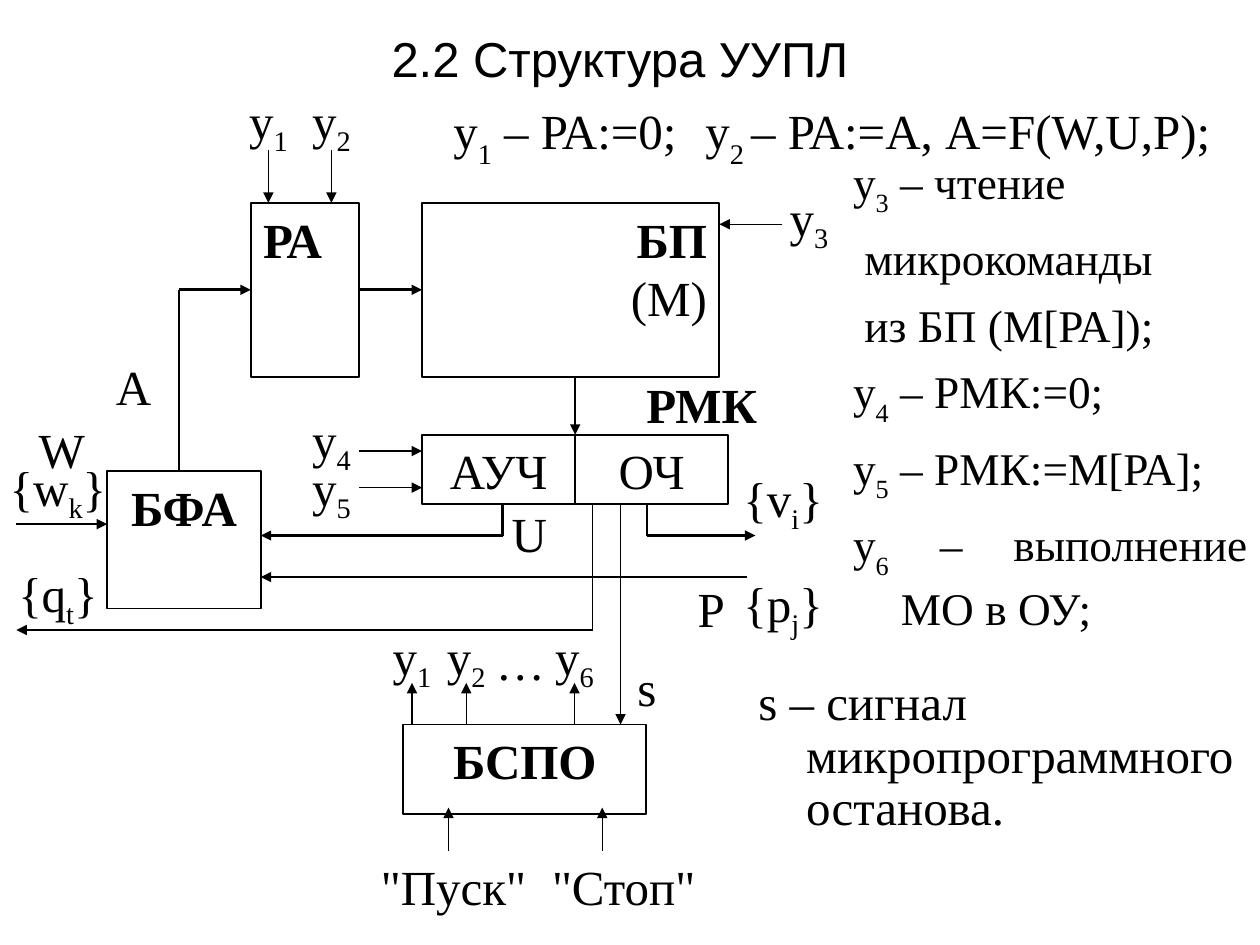
from collections import namedtuple

from lxml import etree
from pptx import Presentation
from pptx.dml.color import RGBColor
from pptx.enum.shapes import MSO_CONNECTOR as Link, MSO_SHAPE as Preset
from pptx.enum.text import MSO_ANCHOR as Anchor, MSO_AUTO_SIZE as AutoSize, PP_ALIGN as Align
from pptx.oxml.ns import qn
from pptx.util import Inches, Pt

COLORS = {"ink": "000000", "paper": "FFFFFF"}
SERIF = "Times New Roman"
THIN, FRAME, BUS = 0.75, 1, 1.5
TOP, LEFT, RIGHT = 0, 1, 3

Box = namedtuple("Box", "left top width height")


def color(name):
    return RGBColor.from_string(COLORS[name])


def right(box):
    return box.left + box.width


def bottom(box):
    return box.top + box.height


def add_text(frame, text, size=28, font=SERIF, bold=False, align=Align.CENTER,
             margin=0, indent=0, before=0, spacing=None, tab=None, drop=-25):
    """Add a paragraph; parts of the text between tildes become subscripts."""
    para = frame.add_paragraph() if frame.text else frame.paragraphs[0]
    props = para._p.get_or_add_pPr()
    props.set("marL", str(Inches(margin)))
    props.set("indent", str(Inches(indent)))
    para.alignment = align
    para.space_before = Pt(before)
    if spacing:
        para.line_spacing = spacing
    etree.SubElement(props, qn("a:buNone"))
    if tab:
        stops = etree.SubElement(props, qn("a:tabLst"))
        etree.SubElement(stops, qn("a:tab"), pos=str(Inches(tab)), algn="l")
    for number, part in enumerate(text.split("~")):
        if not part:
            continue
        span = para.add_run()
        span.text = part
        span.font.size = Pt(size)
        span.font.name = font
        span.font.bold = bold
        span.font.color.rgb = color("ink")
        if number % 2:
            span.font._element.set("baseline", str(drop * 1000))


def set_frame(shape, anchor=Anchor.TOP):
    frame = shape.text_frame
    frame.word_wrap = True
    frame.auto_size = AutoSize.NONE
    frame.vertical_anchor = anchor
    return frame


def add_box_text(page, box, text, **style):
    shape = page.shapes.add_textbox(*map(Inches, box))
    add_text(set_frame(shape), text, **style)


def add_label(page, text, center, top, width=0.72, **style):
    add_box_text(page, Box(center - width / 2, top, width, 0.5), text, **style)


def add_block(page, box, text, **style):
    shape = page.shapes.add_shape(Preset.RECTANGLE, *map(Inches, box))
    shape.shadow.inherit = False
    shape.fill.background()
    shape.line.color.rgb = color("ink")
    shape.line.width = Pt(FRAME)
    add_text(set_frame(shape), text, **style)
    return shape


def add_line(page, start, end, width=THIN, head=True, source=None, target=None):
    """Draw a line; source and target are (shape, side) pairs to join."""
    line = page.shapes.add_connector(Link.STRAIGHT, *map(Inches, (*start, *end)))
    line.line.color.rgb = color("ink")
    line.line.width = Pt(width)
    if head:
        etree.SubElement(line.line._get_or_add_ln(), qn("a:tailEnd"), type="triangle")
    etree.SubElement(line._element.spPr, qn("a:effectLst"))
    if source:
        line.begin_connect(*source)
    if target:
        line.end_connect(*target)


def add_bend(page, start, corner, end, width=BUS, target=None):
    add_line(page, start, corner, width, head=False)
    add_line(page, corner, end, width, target=target)


def draw_title(page, box):
    title = page.shapes.title
    title.left, title.top, title.width, title.height = map(Inches, box)
    add_text(set_frame(title, Anchor.MIDDLE), "2.2 Структура УУПЛ", font="Arial")


def draw_signal_list(page, box):
    body = page.placeholders[1]
    body.left, body.top, body.width, body.height = map(Inches, box)
    frame = set_frame(body)
    signals = [("y~3~ – чтение", -0.38), ("микрокоманды", -0.29),
               ("из БП (M[РА]);", -0.29), ("y~4~ – РМК:=0;", -0.38),
               ("y~5~ – РМК:=М[РА];", -0.38), ("y~6~ – выполнение МО в ОУ;", -0.38)]
    for number, (text, indent) in enumerate(signals):
        add_text(frame, text, size=25.9, align=Align.JUSTIFY, margin=0.38,
                 indent=indent, before=7 if number else 0, drop=-30)


def draw_memory(page, box):
    """Address register and program block; returns the register."""
    register = add_block(page, box._replace(width=0.86), "РА", bold=True, align=Align.LEFT)
    store = add_block(page, Box(box.left + 1.36, box.top, box.width - 1.36, box.height),
                      "БП", bold=True, align=Align.RIGHT)
    add_text(store.text_frame, "(M)", align=Align.RIGHT)
    middle = box.top + box.height / 2
    add_line(page, (box.left + 0.86, middle), (box.left + 1.36, middle), BUS,
             source=(register, RIGHT), target=(store, LEFT))
    for name, offset in (("y~1~", 0.14), ("y~2~", 0.64)):
        x = box.left + offset
        add_line(page, (x, box.top - 0.42), (x, box.top))
        add_label(page, name, x, box.top - 0.94)
    add_line(page, (right(box) + 0.5, box.top + 0.17), (right(box), box.top + 0.17))
    add_label(page, "y~3~", right(box) + 0.71, box.top - 0.17)
    return register


def draw_command_register(page, box):
    half = box.width / 2
    for number, name in enumerate(("АУЧ", "ОЧ")):
        add_block(page, Box(box.left + number * half, box.top, half, box.height), name)
    add_label(page, "РМК", box.left + 2.22, box.top - 0.53, width=1.14, bold=True)
    for name, line_y, label_y in (("y~4~", 0.13, -0.25), ("y~5~", 0.42, 0.13)):
        y = box.top + line_y
        add_line(page, (box.left - 0.5, y), (box.left, y))
        add_label(page, name, box.left - 0.72, box.top + label_y)


def draw_address_block(page, box):
    add_block(page, box, "БФА", bold=True)
    add_line(page, (box.left - 0.72, box.top + 0.42), (box.left, box.top + 0.42))
    add_label(page, "{w~k~}", box.left - 0.39, box.top - 0.16, width=1.07)
    add_label(page, "{q~t~}", box.left - 0.39, box.top + 0.68, width=1.07)
    add_label(page, "W", box.left - 0.36, box.top - 0.46)


def draw_start_block(page, box):
    add_block(page, box, "БСПО", bold=True)
    for name, offset in (("y~1~", 0.07), ("y~2~", 0.5), ("y~6~", 1.36)):
        x = box.left + offset
        add_line(page, (x, box.top), (x, box.top - 0.33))
        add_label(page, name, x, box.top - 0.83)
    add_label(page, "…", box.left + 0.93, box.top - 0.79)
    for name, line_x, label_x in (('"Пуск"', 0.36, 0.4), ('"Стоп"', 1.58, 1.75)):
        x = box.left + line_x
        add_line(page, (x, bottom(box) + 0.29), (x, bottom(box) - 0.05))
        add_label(page, name, box.left + label_x, bottom(box) + 0.29, width=1.5)


def draw_buses(page, memory, command, address, start, register):
    """Lines that run between the blocks."""
    middle = command.left + command.width / 2
    base = bottom(command)
    bus = base + 0.25
    add_line(page, (middle, bottom(memory)), (middle, command.top), BUS)

    x, y = address.left + 0.57, memory.top + memory.height / 2
    add_bend(page, (x, address.top), (x, y), (memory.left, y), target=(register, LEFT))
    add_label(page, "A", x - 0.36, address.top - 0.96)

    x = command.left + 0.64
    add_bend(page, (x, base), (x, bus), (right(address), bus))
    add_label(page, "U", x + 0.21, base - 0.05)

    x = middle + 0.57
    add_bend(page, (x, base), (x, bus), (x + 0.86, bus))
    add_label(page, "{v~i~}", x + 1.08, base - 0.33, width=1.07)

    add_line(page, (x + 0.79, base + 0.58), (right(address), base + 0.58), BUS)
    add_label(page, "P", x + 0.51, base + 0.54)
    add_label(page, "{p~j~}", x + 1.08, base + 0.5, width=1.07)

    x = middle + 0.14
    add_bend(page, (x, base), (x, base + 1), (address.left - 0.72, base + 1), THIN)
    add_line(page, (x + 0.22, base), (x + 0.22, start.top))
    add_label(page, "s", x + 0.43, start.top - 0.58)


def main():
    deck = Presentation()
    deck.slide_width, deck.slide_height = Inches(10), Inches(7.5)
    page = deck.slides.add_slide(deck.slide_layouts[1])
    page.background.fill.solid()
    page.background.fill.fore_color.rgb = color("paper")

    draw_title(page, Box(0.67, 0, 8.5, 0.92))
    draw_signal_list(page, Box(6.67, 1.17, 3.33, 4))
    memory = Box(1.99, 1.61, 3.72, 1.38)
    command = Box(3.35, 3.45, 2.43, 0.55)
    address = Box(0.85, 3.74, 1.22, 1.09)
    start = Box(3.2, 5.75, 1.93, 0.71)
    register = draw_memory(page, memory)
    draw_command_register(page, command)
    draw_address_block(page, address)
    draw_start_block(page, start)
    draw_buses(page, memory, command, address, start, register)
    add_box_text(page, Box(3.5, 0.75, 6.58, 0.67),
                 "y~1~ – РА:=0;\ty~2 ~– РА:=А, A=F(W,U,P);",
                 align=Align.LEFT, spacing=0.9, tab=2.06, drop=-30)
    add_box_text(page, Box(5.92, 5.33, 4.17, 1.25),
                 "s – сигнал микропрограммного останова.",
                 align=Align.LEFT, margin=0.38, indent=-0.38, spacing=0.9)
    deck.save("out.pptx")


if __name__ == "__main__":
    main()
